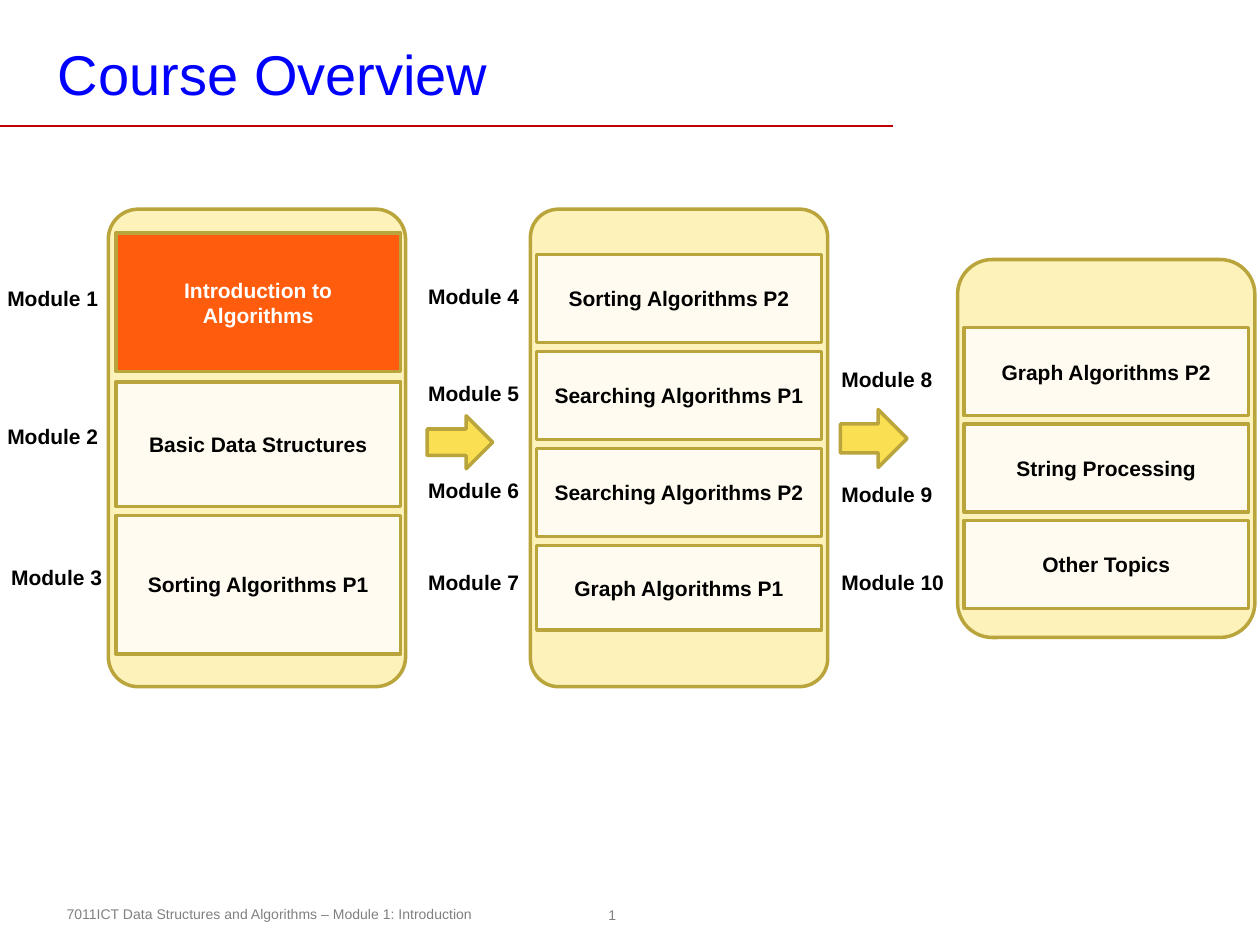
from pptx import Presentation
from pptx.dml.color import RGBColor
from pptx.enum.shapes import MSO_CONNECTOR, MSO_SHAPE as Kind
from pptx.enum.text import MSO_ANCHOR as Anchor, PP_ALIGN as Align
from pptx.oxml import parse_xml
from pptx.oxml.ns import nsdecls
from pptx.util import Inches, Pt

GOLD, PALE, CREAM, SUN, HOT = "BAA53D", "FDF2BA", "FFFBF0", "FBDF53", "FF5D0D"
BOLD = {"size": Pt(12), "bold": True}
SMALL = {"size": Pt(8), "bold": False}


def color(hexa):
    return RGBColor.from_string(hexa)


def place(shape, box):
    for name, val in zip(("left", "top", "width", "height"), box):
        setattr(shape, name, Inches(val))


def write(shape, text, tone, look, align=Align.LEFT, anchor=Anchor.TOP,
          pad=(0.1, 0.05), wrap=True):
    frame = shape.text_frame
    frame.text = text
    sides = {"margin_left": pad[0], "margin_right": pad[0],
             "margin_top": pad[1], "margin_bottom": pad[1]}
    for name, val in sides.items():
        setattr(frame, name, Inches(val))
    frame.word_wrap = wrap
    frame.vertical_anchor = anchor
    para = frame.paragraphs[0]
    para.alignment = align
    font = para.runs[0].font
    for name, val in {"name": "Arial", **look}.items():
        setattr(font, name, val)
    font.color.rgb = color(tone)


def block(slide, kind, box, fill):
    shape = slide.shapes.add_shape(kind, *map(Inches, box))
    shape.shadow.inherit = False
    shape.fill.solid()
    shape.fill.fore_color.rgb = color(fill)
    shape.line.color.rgb = color(GOLD)
    shape.line.width = Pt(2)
    return shape


def label(slide, box, text, tone="000000", look=BOLD, **style):
    write(slide.shapes.add_textbox(*map(Inches, box)), text, tone, look, **style)


def header(slide, box):
    x, y, w, h = box
    title = slide.shapes.title
    place(title, (x + 0.39, y + 0.28, 5.91, 0.6))
    write(title, "Course Overview", "0000FF", {"size": Pt(32)},
          anchor=Anchor.MIDDLE, pad=(0.07, 0.03))
    # Rule along the foot of the header
    rule = slide.shapes.add_connector(
        MSO_CONNECTOR.STRAIGHT, *map(Inches, (x, y + h, x + w, y + h)))
    rule.line.color.rgb = color("C00000")
    rule.line.width = Pt(1)
    rule._element.spPr.append(parse_xml(f"<a:effectLst {nsdecls('a')}/>"))


def column(slide, box, bend, inset, rows, tags):
    """Rows are (text, drop, height); tags are (text, shift, drop, width)."""
    x, y, w, h = box
    panel = block(slide, Kind.ROUNDED_RECTANGLE, box, PALE)
    panel.adjustments[0] = bend
    for text, drop, tall in rows:
        first = text.startswith("Introduction")
        cell = block(slide, Kind.RECTANGLE, (x + inset, y + drop, 2.26, tall),
                     HOT if first else CREAM)
        write(cell, text, "FFFFFF" if first else "000000", BOLD,
              Align.CENTER, Anchor.MIDDLE)
    for text, shift, drop, wide in tags:
        label(slide, (x + shift, y + drop, wide, 0.3), text)


def footer(slide, box):
    x, y, w, h = box
    label(slide, (x, y, 4.17, h),
          "7011ICT Data Structures and Algorithms – Module 1: Introduction",
          "808080", SMALL)
    label(slide, (x + w - 0.24, y, 0.24, h), "1", "808080", SMALL,
          align=Align.CENTER, anchor=Anchor.MIDDLE, pad=(0.04, 0.04), wrap=False)


def main():
    deck = Presentation()
    deck.slide_width, deck.slide_height = Inches(10), Inches(7.5)
    slide = deck.slides.add_slide(deck.slide_layouts[5])
    header(slide, (0, 0, 7.09, 1))

    # Three stages of the course
    column(slide, (0.86, 1.66, 2.36, 3.79), 0.101, 0.06,
           [("Introduction to Algorithms", 0.19, 1.1),
            ("Basic Data Structures", 1.37, 0.99),
            ("Sorting Algorithms P1", 2.43, 1.1)],
           [("Module 1", -0.9, 0.56, 1.16), ("Module 2", -0.9, 1.65, 1.16),
            ("Module 3", -0.87, 2.77, 0.99)])
    names = ["Sorting Algorithms P2", "Searching Algorithms P1",
             "Searching Algorithms P2", "Graph Algorithms P1"]
    column(slide, (4.21, 1.66, 2.36, 3.79), 0.095, 0.05,
           [(name, 0.36 + 0.77 * i, 0.67 if i == 3 else 0.7)
            for i, name in enumerate(names)],
           [(f"Module {i}", -0.91, drop, 0.99)
            for i, drop in enumerate((0.54, 1.31, 2.08, 2.81), 4)])
    names = ["Graph Algorithms P2", "String Processing", "Other Topics"]
    column(slide, (7.6, 2.06, 2.36, 3), 0.117, 0.05,
           [(name, 0.54 + 0.765 * i, 0.7) for i, name in enumerate(names)],
           [(f"Module {i}", -1.02, drop, 1.24)
            for i, drop in enumerate((0.8, 1.71, 2.41), 8)])

    # Arrows between stages
    for box in ((3.39, 3.3, 0.52, 0.42), (6.67, 3.25, 0.53, 0.46)):
        block(slide, Kind.RIGHT_ARROW, box, SUN)

    footer(slide, (0.43, 7.14, 4.55, 0.24))
    deck.save("out.pptx")


if __name__ == "__main__":
    main()
